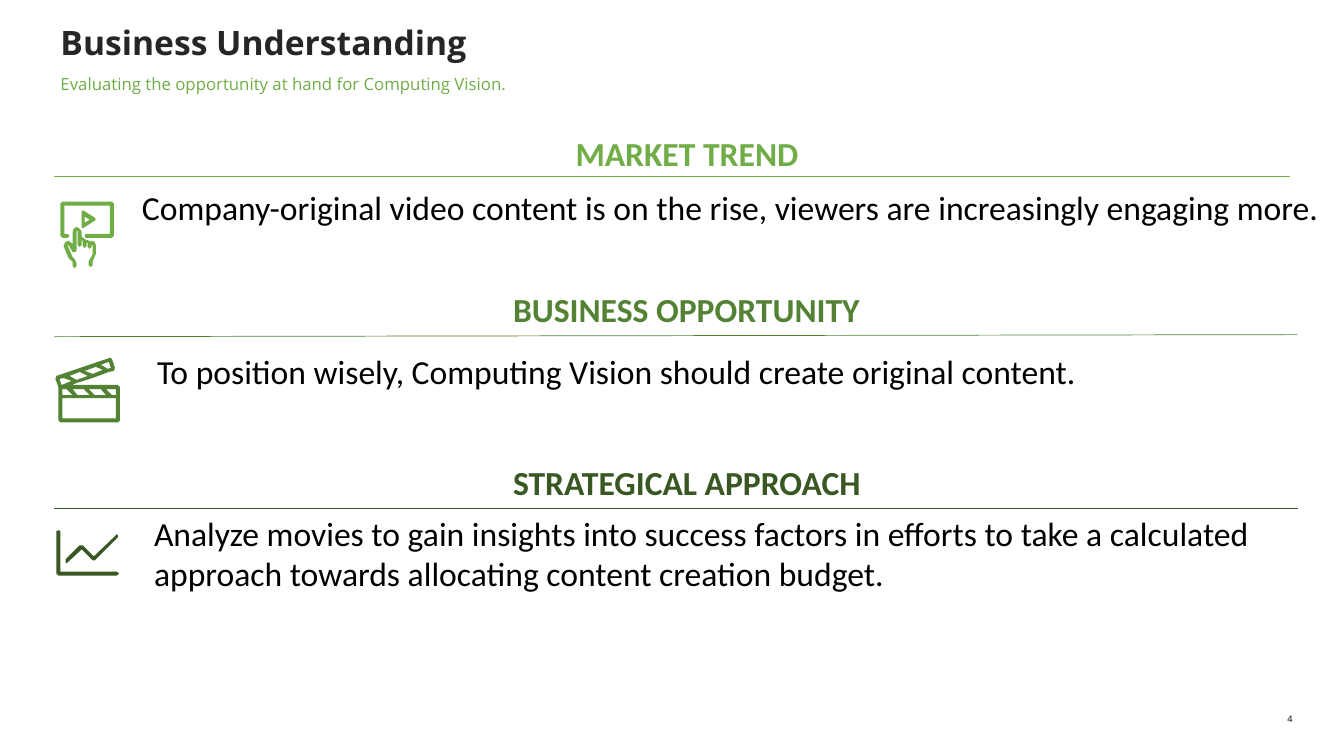
from dataclasses import dataclass

from lxml.etree import SubElement
from pptx import Presentation
from pptx.dml.color import RGBColor
from pptx.enum.shapes import MSO_CONNECTOR
from pptx.enum.text import MSO_ANCHOR, MSO_AUTO_SIZE, PP_ALIGN
from pptx.oxml.ns import qn
from pptx.util import Inches, Pt

CELL = Inches(0.1)
ICON_UNIT = CELL / 10
ICON_COLUMN = 5.5


@dataclass(frozen=True)
class Theme:
    heading_font: str = "Open Sans"
    body_font: str = "Calibri"
    ink: str = "000000"
    title: str = "262626"
    light: str = "70AD47"
    medium: str = "548235"
    dark: str = "385723"
    large: float = 24
    small: float = 12
    tiny: float = 6.5
    rule: float = 0.5


def cells(*counts):
    return [round(count * CELL) for count in counts]


def write(box, text, font, size, color, bold=False, align=PP_ALIGN.LEFT,
          spacing=1.0, inset=None, wrap=True, bullet=True):
    frame = box.text_frame
    frame.word_wrap = wrap
    frame.auto_size = MSO_AUTO_SIZE.NONE
    frame.vertical_anchor = MSO_ANCHOR.TOP
    if inset is not None:
        frame.margin_left = frame.margin_right = inset
        frame.margin_top = frame.margin_bottom = inset
    para = frame.paragraphs[0]
    para.alignment = align
    para.line_spacing = spacing
    para.space_before = Pt(0)
    if not bullet:
        properties = para._p.get_or_add_pPr()
        properties.set("marL", "0")
        properties.set("indent", "0")
        SubElement(properties, qn("a:buNone"))
    span = para.add_run()
    span.text = text
    span.font.name = font
    span.font.size = Pt(size)
    span.font.bold = bold
    span.font.color.rgb = RGBColor.from_string(color)


class PageBuilder:
    def __init__(self, page, theme):
        self.page = page
        self.theme = theme

    def placeholder(self, index, area, text, **style):
        box = self.page.placeholders[index]
        box.left, box.top, box.width, box.height = cells(*area)
        write(box, text, self.theme.heading_font, spacing=0.9, inset=0, **style)

    def text(self, area, text, font, **style):
        box = self.page.shapes.add_textbox(*cells(*area))
        write(box, text, font, **style)

    def rule(self, start, end, color):
        line = self.page.shapes.add_connector(
            MSO_CONNECTOR.STRAIGHT, *cells(*start, *end))
        line.line.color.rgb = RGBColor.from_string(color)
        line.line.width = Pt(self.theme.rule)
        SubElement(line._element.spPr, qn("a:effectLst"))

    def icon(self, row, pieces, color):
        group = self.page.shapes.add_group_shape()
        for contours in pieces:
            builder = group.shapes.build_freeform(*contours[0][0], scale=ICON_UNIT)
            for number, points in enumerate(contours):
                if number:
                    builder.move_to(*points[0])
                builder.add_line_segments(points[1:], close=True)
            shape = builder.convert_to_shape(*cells(ICON_COLUMN, row))
            shape.shadow.inherit = False
            shape.fill.solid()
            shape.fill.fore_color.rgb = RGBColor.from_string(color)
            shape.line.fill.background()

    def section(self, heading, heading_area, body, body_area, rule, icon_row, icon, color):
        theme = self.theme
        self.icon(icon_row, icon, color)
        self.text(body_area, body, theme.body_font, size=theme.large, color=theme.ink)
        self.rule(*rule, color)
        self.text(heading_area, heading, theme.body_font, size=theme.large,
                  color=color, bold=True, wrap=False)


SCREEN = [[(56, 0), (7, 0), (5, 2), (5, 34), (7, 36), (12, 36), (14, 34), (12, 32),
           (9, 32), (9, 4), (54, 4), (54, 32), (30, 32), (29, 34), (30, 36),
           (56, 36), (58, 34), (58, 2)]]
PLAY = [[(26, 26), (28, 26), (39, 19), (40, 18), (39, 16), (28, 9), (26, 9)],
        [(29, 15), (34, 18), (29, 21)]]
HAND = [[(36, 39), (34, 40), (34, 39), (31, 38), (30, 38), (29, 37), (26, 35), (26, 30),
         (24, 27), (21, 25), (18, 27), (17, 30), (17, 42), (16, 41), (13, 39), (10, 40),
         (8, 44), (13, 56), (17, 60), (17, 64), (19, 66), (21, 64), (21, 61), (19, 57),
         (17, 55), (12, 43), (13, 43), (17, 50), (20, 50), (21, 48), (21, 29), (22, 29),
         (22, 43), (24, 45), (26, 43), (26, 38), (27, 39), (27, 44), (29, 46), (31, 44),
         (31, 41), (32, 41), (32, 45), (34, 47), (36, 45), (36, 43), (37, 43), (37, 52),
         (35, 56), (33, 59), (33, 63), (35, 65), (37, 63), (37, 59), (40, 52), (40, 43),
         (39, 40)]]
CLAPPER = [[(62, 27), (16, 27), (21, 25), (37, 20), (53, 14), (58, 13), (59, 10),
            (56, 1), (54, 0), (1, 18), (0, 21), (3, 29), (3, 62), (5, 64), (62, 64),
            (64, 62), (64, 29)],
           [(60, 37), (56, 37), (50, 31), (60, 31)],
           [(39, 37), (33, 31), (45, 31), (50, 37)],
           [(22, 37), (17, 31), (28, 31), (34, 37)],
           [(7, 31), (11, 31), (17, 37), (7, 37)],
           [(24, 14), (32, 18), (21, 22), (14, 18)],
           [(40, 9), (47, 12), (37, 16), (29, 13)],
           [(55, 10), (52, 11), (45, 7), (53, 4)],
           [(8, 20), (16, 23), (6, 27), (4, 21)],
           [(7, 60), (7, 40), (60, 40), (60, 60)]]
AXES = [[(61, 41), (5, 41), (5, 1), (3, 0), (1, 1), (1, 43), (3, 45), (61, 45), (63, 43)]]
TREND = [[(60, 5), (38, 26), (27, 15), (24, 15), (10, 29), (10, 32), (11, 33), (12, 32),
          (26, 19), (37, 30), (39, 30), (62, 7), (62, 5), (61, 4)]]


def main():
    theme = Theme()
    deck = Presentation()
    deck.slide_width, deck.slide_height = Inches(13.33), Inches(7.5)
    page = deck.slides.add_slide(deck.slide_layouts[1])
    builder = PageBuilder(page, theme)

    builder.placeholder(0, (6, 2.6, 124.6, 4), "Business Understanding",
                        size=theme.large, color=theme.title, bold=True)
    builder.placeholder(1, (6, 7.5, 124.6, 5),
                        "Evaluating the opportunity at hand for Computing Vision.",
                        size=theme.small, color=theme.light, bullet=False)

    builder.section(
        "MARKET TREND", (56.1, 12.7, 24.3, 5),
        "Company-original video content is on the rise, viewers are increasingly engaging more.",
        (13.1, 18.1, 119.4, 5), ((5.4, 17.5), (127.9, 17.5)),
        20, [SCREEN, PLAY, HAND], theme.light)
    builder.section(
        "BUSINESS OPPORTUNITY", (49.9, 28.2, 36.7, 5),
        "To position wisely, Computing Vision should create original content.",
        (14.6, 34.3, 116, 5), ((5.4, 33.4), (128.7, 33.2)),
        35.5, [CLAPPER], theme.medium)
    builder.section(
        "STRATEGICAL APPROACH", (49.9, 45.3, 36.8, 5),
        "Analyze movies to gain insights into success factors in efforts to take a calculated "
        "approach towards allocating content creation budget.",
        (14.3, 50.4, 116.3, 9.1), ((5.4, 50.4), (128.7, 50.4)),
        52.6, [AXES, TREND], theme.dark)

    builder.text((124.8, 70.8, 3.4, 1.1), "4", theme.heading_font, size=theme.tiny,
                 color=theme.ink, align=PP_ALIGN.RIGHT, inset=0)
    deck.save("out.pptx")


if __name__ == "__main__":
    main()
